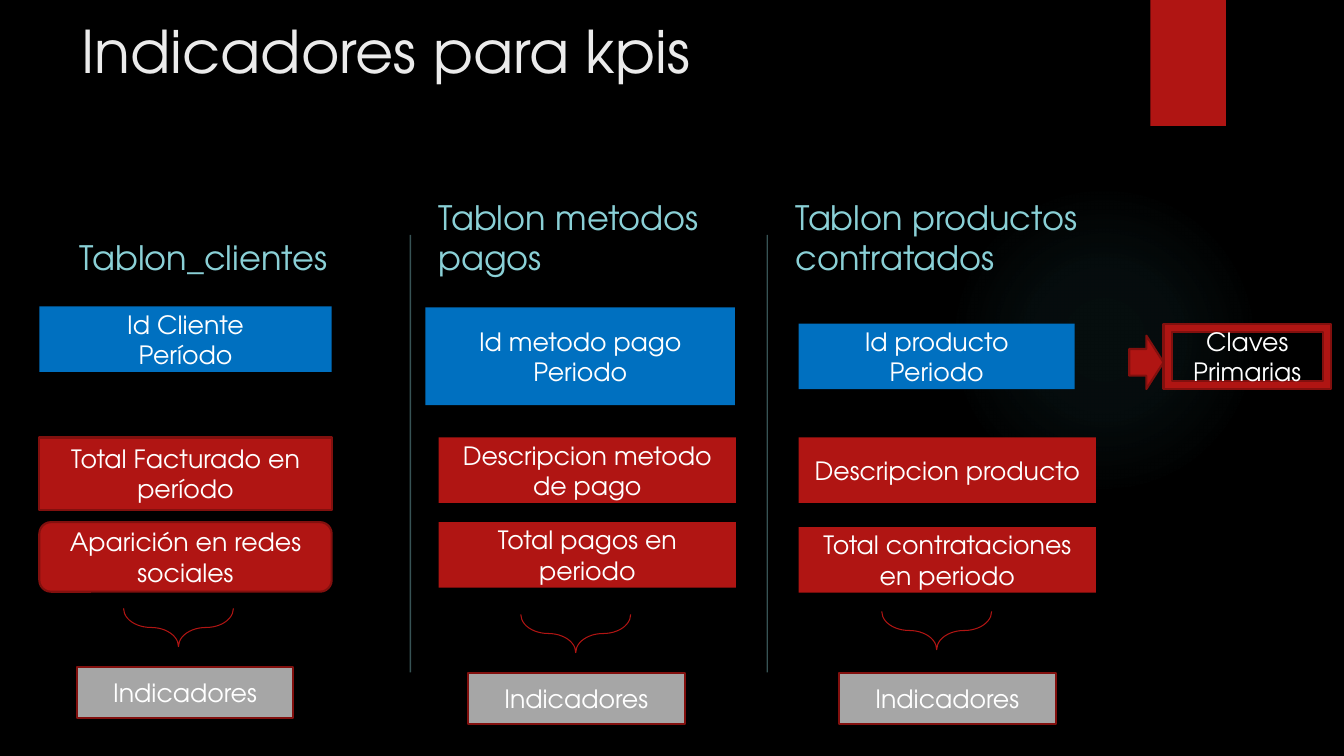
import pptx
import pptx.util
import pptx.dml.color
import pptx.enum.shapes
import pptx.enum.text
import pptx.oxml
import pptx.oxml.ns
from lxml import etree

Inches = pptx.util.Inches
Pt = pptx.util.Pt
RGBColor = pptx.dml.color.RGBColor
SHAPE = pptx.enum.shapes.MSO_SHAPE
ANCHOR = pptx.enum.text.MSO_ANCHOR
ALIGN = pptx.enum.text.PP_ALIGN
qn = pptx.oxml.ns.qn

FONT = "TeX Gyre Adventor"
BLACK = RGBColor(0x00, 0x00, 0x00)
WHITE = RGBColor(0xFF, 0xFF, 0xFF)
TITLE_COLOR = RGBColor(0xEB, 0xEB, 0xEB)
TEAL = RGBColor(0x8A, 0xD0, 0xD6)
GLOW = RGBColor(0x50, 0xB9, 0xC1)
RED = RGBColor(0xB0, 0x15, 0x13)
DARK_RED = RGBColor(0x82, 0x10, 0x0E)
BLUE = RGBColor(0x00, 0x70, 0xC0)
GRAY = RGBColor(0xA6, 0xA6, 0xA6)

COLUMNS = [
    dict(left=0.39, heading=("Tablon_clientes", 0.3, 3.22),
         keys=(["Id Cliente", "Período"], 0, 3.04, 2.9, 0.65),
         metrics=[("Total Facturado en período", 0, 4.34, 2.9, 0.72, SHAPE.RECTANGLE, DARK_RED),
                  ("Aparición en redes sociales", 0, 5.18, 2.9, 0.69,
                   SHAPE.ROUNDED_RECTANGLE, DARK_RED)],
         brace=(1.19, 5.68), label=(0.37, 6.62)),
    dict(left=4.22, heading=("Tablon metodos pagos", 0.03, 3.21),
         keys=(["Id metodo pago", "Periodo"], 0, 3.05, 3.07, 0.97),
         metrics=[("Descripcion metodo de pago", 0.13, 4.34, 2.95, 0.65, SHAPE.RECTANGLE, None),
                  ("Total pagos en periodo", 0.13, 5.18, 2.95, 0.65, SHAPE.RECTANGLE, None)],
         brace=(1.3, 5.74), label=(0.42, 6.68)),
    dict(left=7.92, heading=("Tablon productos contratados", -0.13, 3.21),
         keys=(["Id producto", "Periodo"], 0, 3.21, 2.74, 0.65),
         metrics=[("Descripcion producto", 0, 4.34, 2.95, 0.65, SHAPE.RECTANGLE, None),
                  ("Total contrataciones en periodo", 0, 5.23, 2.95, 0.65, SHAPE.RECTANGLE, None)],
         brace=(1.18, 5.71), label=(0.4, 6.68)),
]


def write(tf, lines, size, color, align, anchor):
    """Fill a text frame with one paragraph per line."""
    tf.word_wrap = True
    tf.vertical_anchor = anchor
    for i, line in enumerate(lines):
        p = tf.paragraphs[0] if i == 0 else tf.add_paragraph()
        p.alignment = align
        r = p.add_run()
        r.text = line
        r.font.name = FONT
        r.font.size = Pt(size)
        r.font.color.rgb = color


def add_text(s, x, y, w, h, text, size, color, anchor):
    """Add a left-aligned text box."""
    sp = s.shapes.add_textbox(Inches(x), Inches(y), Inches(w), Inches(h))
    write(sp.text_frame, [text], size, color, ALIGN.LEFT, anchor)


def add_box(s, kind, x, y, w, h, fill=None, line=None, lines=(), weight=1.5):
    """Add a preset shape with optional fill, outline and centred text."""
    sp = s.shapes.add_shape(kind, Inches(x), Inches(y), Inches(w), Inches(h))
    sp.shadow.inherit = False
    if fill is None:
        sp.fill.background()
    else:
        sp.fill.solid()
        sp.fill.fore_color.rgb = fill
    if line is None:
        sp.line.fill.background()
    else:
        sp.line.color.rgb = line
        sp.line.width = Pt(weight)
    write(sp.text_frame, lines, 18, WHITE, ALIGN.CENTER, ANCHOR.MIDDLE)
    return sp


def add_glow(s, x, y, size):
    """Add a round, fading teal glow."""
    sp = add_box(s, SHAPE.OVAL, x, y, size, size, GLOW)
    stops = "".join(
        f'<a:gs pos="{pos * 1000}"><a:srgbClr val="{GLOW}">'
        f'<a:alpha val="{alpha * 1000}"/></a:srgbClr></a:gs>'
        for pos, alpha in ((0, 7), (36, 6), (69, 0), (100, 0)))
    grad = pptx.oxml.parse_xml(
        '<a:gradFill xmlns:a="http://schemas.openxmlformats.org/drawingml/2006/main">'
        f'<a:gsLst>{stops}</a:gsLst><a:path path="circle">'
        '<a:fillToRect l="50000" t="50000" r="50000" b="50000"/></a:path></a:gradFill>')
    props = sp.element.spPr
    props.replace(props.find(qn("a:solidFill")), grad)


def add_divider(s, x, top, bottom):
    """Add a translucent vertical rule."""
    cn = s.shapes.add_connector(pptx.enum.shapes.MSO_CONNECTOR.STRAIGHT,
                                Inches(x), Inches(top), Inches(x), Inches(bottom))
    cn.line.color.rgb = TEAL
    cn.line.width = Pt(1)
    props = cn.element.spPr
    color = next(props.iter(qn("a:srgbClr")))
    etree.SubElement(color, qn("a:alpha")).set("val", "40000")
    etree.SubElement(props, qn("a:effectLst"))


def add_column(s, left, heading, keys, metrics, brace, label):
    """Draw one table column: heading, keys, metrics, brace and label."""
    text, dx, w = heading
    add_text(s, left + dx, 2.17, w, 0.63, text, 24, TEAL, ANCHOR.BOTTOM)
    lines, dx, y, w, h = keys
    add_box(s, SHAPE.RECTANGLE, left + dx, y, w, h, BLUE, lines=lines)
    for text, dx, y, w, h, kind, line in metrics:
        add_box(s, kind, left + dx, y, w, h, RED, line, [text])
    dx, y = brace
    sp = add_box(s, SHAPE.RIGHT_BRACE, left + dx, y, 0.38, 1.09, line=RED, weight=0.75)
    sp.rotation = 90
    sp.adjustments[0] = 1.21
    dx, y = label
    add_box(s, SHAPE.RECTANGLE, left + dx, y, 2.15, 0.5, GRAY, DARK_RED, ["Indicadores"])


def add_key_legend(s, x, y):
    """Draw the arrow and frame that name the primary keys."""
    add_box(s, SHAPE.FRAME, x + 0.34, y, 1.66, 0.65, RED, DARK_RED, ["Claves Primarias"])
    add_box(s, SHAPE.RIGHT_ARROW, x, y + 0.12, 0.34, 0.53, RED, DARK_RED)


def main():
    """Build and save the slide."""
    prs = pptx.Presentation()
    prs.slide_width, prs.slide_height = Inches(13.33), Inches(7.5)
    s = prs.slides.add_slide(prs.slide_layouts[6])
    s.background.fill.solid()
    s.background.fill.fore_color.rgb = BLACK
    add_glow(s, 9.41, 1.83, 3.08)
    add_box(s, SHAPE.RECTANGLE, 11.41, 0, 0.75, 1.25, RED)
    for x in (4.07, 7.61):
        add_divider(s, x, 2.33, 6.67)
    add_text(s, 0.71, 0.1, 10.29, 1.2, "Indicadores para kpis", 42, TITLE_COLOR, ANCHOR.TOP)
    for column in COLUMNS:
        add_column(s, **column)
    add_key_legend(s, 11.2, 3.21)
    prs.save("out.pptx")


if __name__ == "__main__":
    main()
